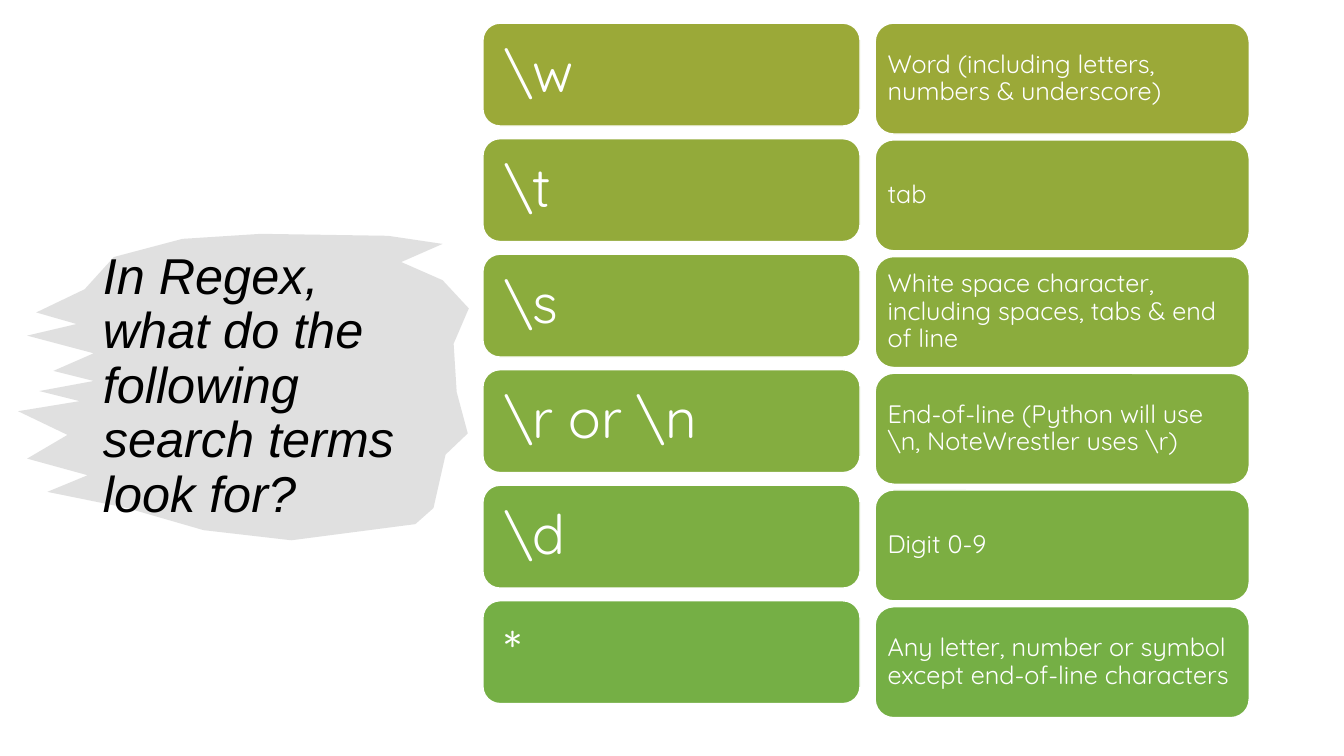
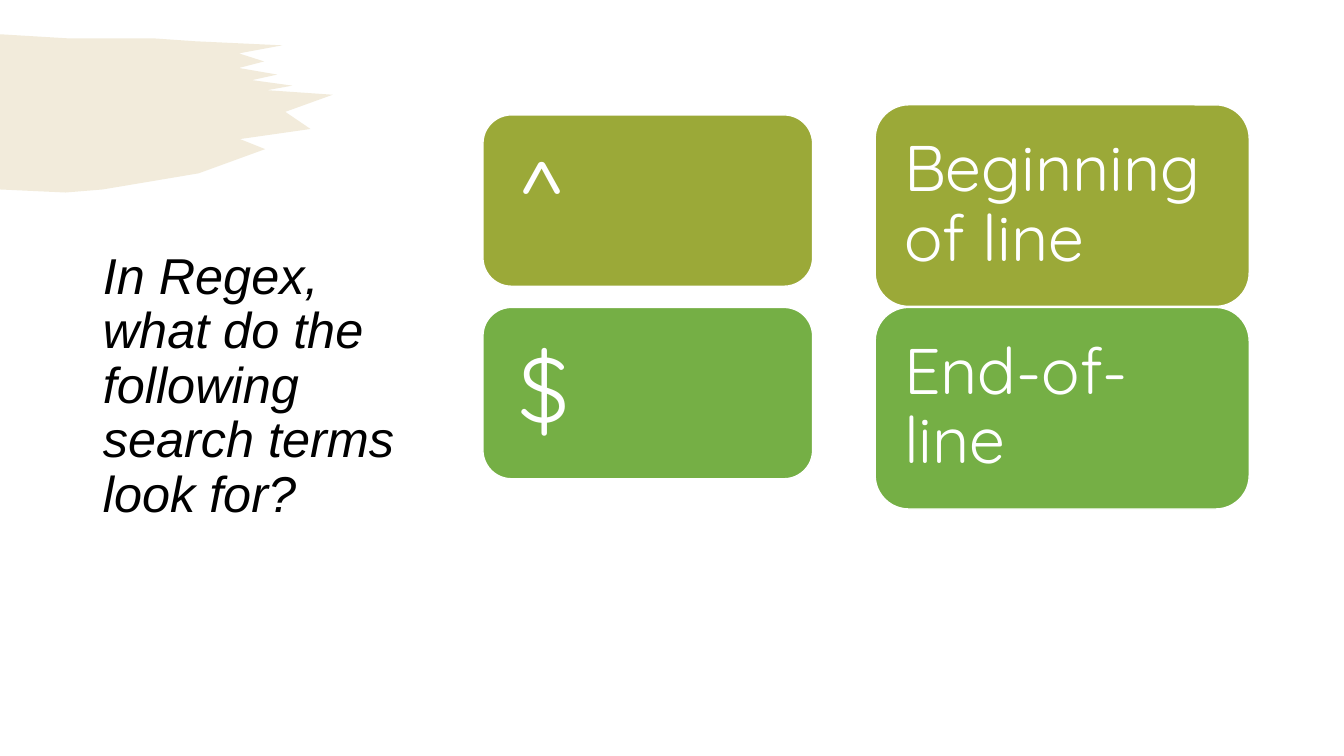
from collections import namedtuple

from lxml import etree
from pptx import Presentation
from pptx import util as u
from pptx.dml.color import RGBColor
from pptx.enum import shapes, text
from pptx.oxml.ns import qn

BLACK = RGBColor(0x00, 0x00, 0x00)
WHITE = RGBColor(0xFF, 0xFF, 0xFF)
GREY = RGBColor(0xD9, 0xD9, 0xD9)
SAND = RGBColor(0xBE, 0x9C, 0x4B)
GREENS = [RGBColor.from_string(c) for c in
          ("9BA938", "93AA3A", "8BAC3D", "84AD40", "7CAE42", "75AF45")]
TITLE_FONT, CARD_FONT = "Arial", "Quicksand"
TITLE = "In Regex, what do the following search terms look for?"
TITLE_BOX = (0.92, 1.64, 3.52, 4.4)
TERM_LEFT, MEANING_LEFT = 4.79, 8.68

Brush = namedtuple("Brush", "color opacity smooth_edge bristle_tips notch_depth")
Column = namedtuple("Column", "left first_top last_top width height font_size inset")

GREY_BRUSH = Brush(
    GREY, 80,
    smooth_edge=[(0.84, 2.87), (1.13, 2.55), (1.81, 2.37), (2.59, 2.32),
                 (3.85, 2.34), (4.39, 2.42), (3.98, 2.6), (4.39, 2.78),
                 (4.65, 3.06), (4.5, 3.41), (4.53, 3.89), (4.64, 4.3),
                 (4.42, 4.51), (4.3, 5.04), (4.12, 5.2), (2.89, 5.36),
                 (2.02, 5.26), (1.26, 5.04)],
    bristle_tips=[(0.47, 4.88), (0.27, 4.55), (0.18, 4.08), (0.39, 3.88),
                  (0.53, 3.68), (0.27, 3.33), (0.36, 3.1)],
    notch_depth=0.4)

SAND_BRUSH = Brush(
    SAND, 20,
    smooth_edge=[(1.97, 1.72), (1.02, 1.88), (0.65, 1.91), (0, 1.88),
                 (0, 0.34), (0.66, 0.38), (1.51, 0.38), (1.94, 0.41)],
    bristle_tips=[(2.8, 0.45), (2.62, 0.61), (2.75, 0.74), (2.9, 0.85),
                  (3.3, 0.94), (3.08, 1.28), (2.63, 1.48)],
    notch_depth=-0.25)

SLIDES = [
    dict(
        brush=GREY_BRUSH,
        cards=[
            (r"\w", "Word (including letters, numbers & underscore)"),
            (r"\t", "tab"),
            (r"\s", "White space character, including spaces, tabs & end of line"),
            (r"\r or \n", r"End-of-line (Python will use \n, NoteWrestler uses \r)"),
            (r"\d", "Digit 0-9"),
            ("*", "Any letter, number or symbol except end-of-line characters"),
        ],
        columns=[Column(TERM_LEFT, 0.23, 5.96, 3.74, 1.02, 39, 0.16),
                 Column(MEANING_LEFT, 0.23, 6.02, 3.71, 1.1, 18, 0.07)],
    ),
    dict(
        brush=SAND_BRUSH,
        cards=[("^", "Beginning of line"), ("$", "End-of-line")],
        columns=[Column(TERM_LEFT, 1.14, 3.05, 3.27, 1.7, 65, 0.27),
                 Column(MEANING_LEFT, 1.04, 3.05, 3.71, 2, 46, 0.19)],
    ),
]


def style_text(tf, font, size, color, italic=False):
    tf.word_wrap = True
    tf.vertical_anchor = text.MSO_ANCHOR.MIDDLE
    p = tf.paragraphs[0]
    p.alignment = text.PP_ALIGN.LEFT
    p.line_spacing = 0.9
    f = p.runs[0].font
    f.name, f.size, f.italic = font, u.Pt(size), italic
    f.color.rgb = color


def fill_shape(sp, color):
    sp.shadow.inherit = False
    sp.fill.solid()
    sp.fill.fore_color.rgb = color


def add_title(s):
    sp = s.shapes.title
    sp.left, sp.top, sp.width, sp.height = map(u.Inches, TITLE_BOX)
    sp.text_frame.text = TITLE
    style_text(sp.text_frame, TITLE_FONT, 36, BLACK, italic=True)


def fray(tips, notch_depth):
    innermost = max if notch_depth > 0 else min
    points = tips[:1]
    for (x1, y1), (x2, y2) in zip(tips, tips[1:]):
        notch = (innermost(x1, x2) + notch_depth, (y1 + y2) / 2)
        points += [notch, (x2, y2)]
    return points


def add_brush(s, brush):
    outline = brush.smooth_edge + fray(brush.bristle_tips, brush.notch_depth)
    points = [(u.Inches(x), u.Inches(y)) for x, y in outline]
    fb = s.shapes.build_freeform(*points[0])
    fb.add_line_segments(points[1:], close=True)
    sp = fb.convert_to_shape()
    fill_shape(sp, brush.color)
    sp.line.fill.background()
    clr = sp.element.spPr.find(qn("a:solidFill")).find(qn("a:srgbClr"))
    etree.SubElement(clr, qn("a:alpha")).set("val", str(brush.opacity * 1000))
    s.shapes.title.element.addprevious(sp.element)


def add_card(s, col, top, label, color):
    box = (col.left, top, col.width, col.height)
    sp = s.shapes.add_shape(shapes.MSO_SHAPE.ROUNDED_RECTANGLE, *map(u.Inches, box))
    fill_shape(sp, color)
    sp.line.color.rgb = WHITE
    sp.line.width = u.Pt(1)
    tf = sp.text_frame
    tf.margin_left = tf.margin_right = u.Inches(col.inset)
    tf.margin_top = tf.margin_bottom = u.Inches(col.inset)
    tf.text = label
    style_text(tf, CARD_FONT, col.font_size, WHITE)


def add_column(s, col, labels):
    gaps = len(labels) - 1
    pitch = (col.last_top - col.first_top) / gaps
    shade_step = (len(GREENS) - 1) // gaps
    for row, label in enumerate(labels):
        add_card(s, col, col.first_top + row * pitch, label, GREENS[row * shade_step])


def main():
    prs = Presentation()
    prs.slide_width, prs.slide_height = u.Inches(13.33), u.Inches(7.5)
    for content in SLIDES:
        s = prs.slides.add_slide(prs.slide_layouts[5])
        add_title(s)
        add_brush(s, content["brush"])
        for col, labels in zip(content["columns"], zip(*content["cards"])):
            add_column(s, col, labels)
    prs.save("out.pptx")


if __name__ == "__main__":
    main()
